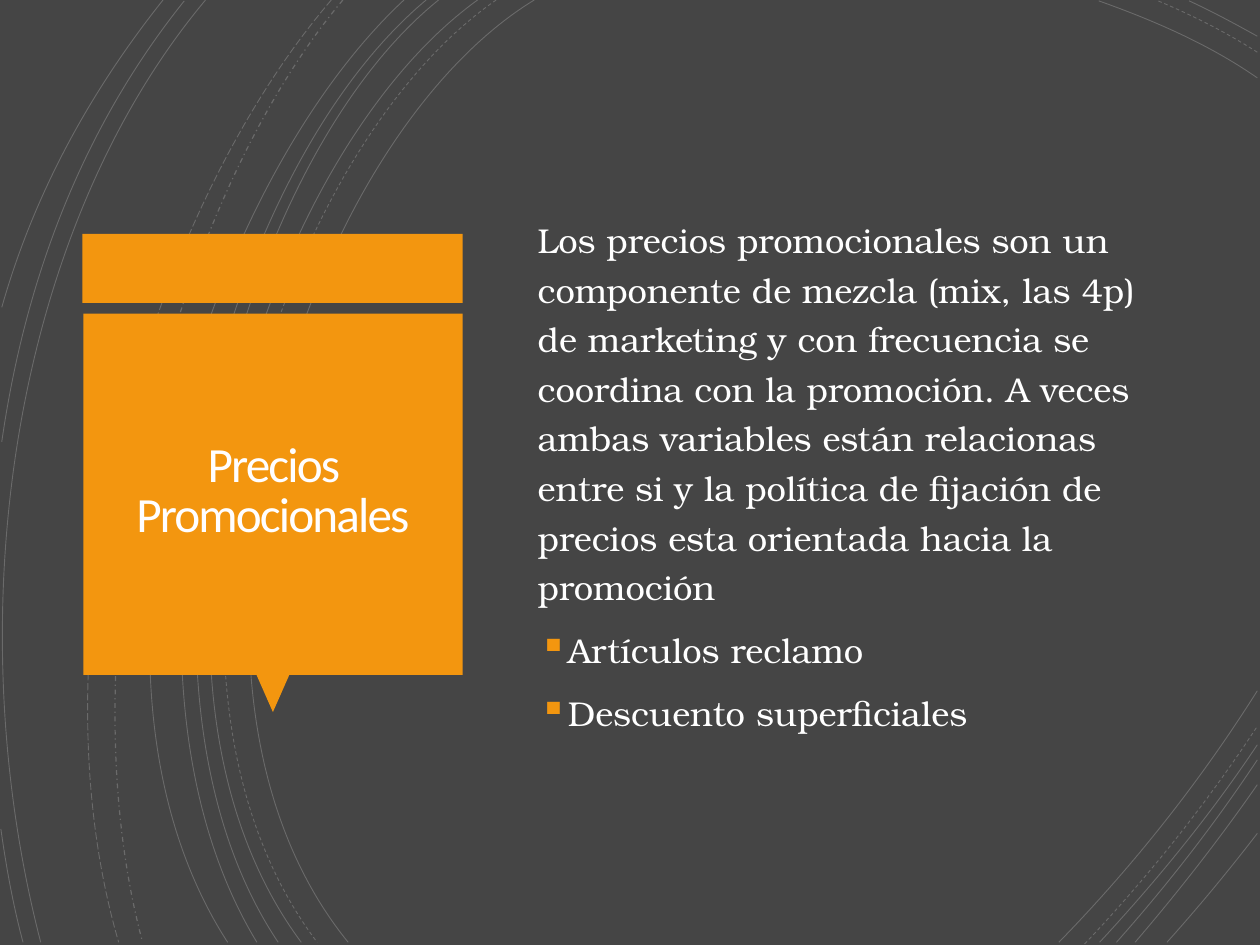
from dataclasses import dataclass

from lxml.etree import SubElement
from pptx import Presentation
from pptx.dml.color import RGBColor
from pptx.enum.dml import MSO_LINE as Dash
from pptx.enum.shapes import MSO_SHAPE as Preset
from pptx.enum.text import MSO_ANCHOR as Anchor, PP_ALIGN as Align
from pptx.oxml.ns import qn
from pptx.util import Cm, Pt


@dataclass(frozen=True)
class Theme:
    background: str = "454545"
    accent: str = "F3960F"
    title_color: str = "FFFEFF"
    white: str = "FFFFFF"
    title_font: str = "Calibri"
    body_font: str = "TeX Gyre Bonum"
    title_size: float = 40
    body_size: float = 28
    arc_width: float = 0.75
    arc_opacity: int = 20


THEME = Theme()

# All measures below are inches; length() turns them into Cm.
SLIDE_SIZE = (14.22, 10.67)
TITLE = "Precios Promocionales"
INTRO = (
    "Los precios promocionales son un componente de mezcla (mix, las 4p) de "
    "marketing y con frecuencia se coordina con la promoción. A veces ambas "
    "variables están relacionas entre si y la política de fijación de precios "
    "esta orientada hacia la promoción"
)
BULLETS = ["Artículos reclamo", "Descuento superficiales"]

TITLE_BOX = (1.04, 3.65, 4.08, 3.82)
BODY_BOX = (5.97, 1.25, 7.33, 8.16)
BANNER = (0.93, 2.64, 4.29, 0.78)
CARD = (0.94, 3.54, 4.28, 4.08)
POINTER_SIZE = (0.37, 0.42)

# Each arc: start, two control points, end.
ARCS = {
    Dash.SOLID: [
        [(6.03, 0), (3.36, 1.63), (1.52, 7.68), (3.93, 10.64)],
        [(5.39, 0), (2.88, 1.81), (1.17, 7.64), (3.4, 10.64)],
        [(4.95, 0), (2.6, 1.89), (1.17, 7.7), (3.14, 10.64)],
        [(4.81, 0), (2.46, 1.96), (1.04, 7.58), (2.9, 10.64)],
        [(4.56, 0), (2.32, 2.08), (0.56, 7.53), (2.57, 10.64)],
        [(2.32, 0), (0.12, 2.63), (-0.49, 6.97), (0.46, 10.64)],
        [(2.08, 0.01), (0.99, 1.37), (0.3, 3.04), (0.02, 4.99)],
        [(1.84, 0), (1.06, 0.98), (0.4, 2.13), (0.02, 3.47)],
        [(0.01, 9.36), (0.07, 9.79), (0.15, 10.23), (0.26, 10.64)],
        [(14.19, 0.88), (13.63, 0.49), (12.99, 0.22), (12.4, 0.01)],
        [(14.19, 0.41), (13.94, 0.27), (13.68, 0.13), (13.42, 0.01)],
        [(11.95, 10.64), (12.76, 9.81), (13.53, 8.85), (14.19, 7.8)],
        [(12.41, 10.64), (13.04, 9.96), (13.65, 9.22), (14.19, 8.41)],
        [(12.6, 10.64), (13.16, 10.01), (13.7, 9.32), (14.19, 8.58)],
        [(12.81, 10.64), (13.29, 10.08), (13.76, 9.48), (14.19, 8.86)],
        [(13.17, 10.64), (13.52, 10.25), (13.86, 9.84), (14.19, 9.41)],
    ],
    Dash.DASH: [
        [(5.6, 0), (3.04, 1.77), (1.31, 7.64), (3.58, 10.64)],
        [(14.19, 0.59), (13.83, 0.36), (13.45, 0.17), (13.07, 0.01)],
        [(12.24, 10.66), (12.94, 9.92), (13.6, 9.1), (14.19, 8.2)],
    ],
    Dash.DASH_DOT: [[(3.87, 0), (1.88, 2.37), (0.7, 7.24), (1.61, 10.64)]],
    Dash.LONG_DASH: [[(3.74, 0), (1.68, 2.4), (0.31, 7.1), (1.34, 10.64)]],
}


def length(inches):
    return Cm(inches * 2.54)


def rgb(color):
    return RGBColor.from_string(color)


def add_arc(page, points, dash):
    """Draw one cubic curve as an open, faint outline."""
    start, *rest = [(length(x), length(y)) for x, y in points]
    builder = page.shapes.build_freeform(*start)
    builder.add_line_segments(rest, close=False)
    arc = builder.convert_to_shape()
    arc.shadow.inherit = False
    arc.fill.background()
    arc.line.color.rgb = rgb(THEME.white)
    arc.line.width = Pt(1 if dash == Dash.DASH_DOT else THEME.arc_width)
    arc.line.dash_style = dash

    outline = next(arc.element.iter(qn("a:path")))
    segments = outline.findall(qn("a:lnTo"))
    curve = SubElement(outline, qn("a:cubicBezTo"))
    for segment in segments:
        curve.append(segment[0])
        outline.remove(segment)
    color = next(arc.element.iter(qn("a:srgbClr")))
    SubElement(color, qn("a:alpha"), val=str(THEME.arc_opacity * 1000))


def add_block(page, preset, place, rotation=0):
    block = page.shapes.add_shape(preset, *map(length, place))
    block.shadow.inherit = False
    block.fill.solid()
    block.fill.fore_color.rgb = rgb(THEME.accent)
    block.line.fill.background()
    block.rotation = rotation


def add_frame(page, place, inset=None):
    """Add a wrapping, vertically centred text box and return its text frame."""
    frame = page.shapes.add_textbox(*map(length, place)).text_frame
    frame.word_wrap = True
    frame.vertical_anchor = Anchor.MIDDLE
    if inset is not None:
        frame.margin_left = frame.margin_right = length(inset)
        frame.margin_top = frame.margin_bottom = length(inset)
    return frame


def write(para, text, *, font, size, color, line_spacing, align=Align.LEFT,
          before=0, tracking=0, bullet=None):
    para.alignment = align
    para.line_spacing = line_spacing
    para.space_before = Pt(before)
    span = para.add_run()
    span.text = text
    span.font.name = font
    span.font.size = Pt(size)
    span.font.color.rgb = rgb(color)
    if tracking:
        span.font._element.set("spc", str(int(tracking * 100)))
    if bullet:
        props = para._p.get_or_add_pPr()
        props.set("marL", str(length(0.27)))
        props.set("indent", str(length(-0.25)))
        bullet_color = SubElement(props, qn("a:buClr"))
        SubElement(bullet_color, qn("a:srgbClr"), val=THEME.accent)
        SubElement(props, qn("a:buSzPct"), val="110000")
        SubElement(props, qn("a:buChar"), char=bullet)


def main():
    deck = Presentation()
    deck.slide_width, deck.slide_height = map(length, SLIDE_SIZE)
    page = deck.slides.add_slide(deck.slide_layouts[6])
    page.background.fill.solid()
    page.background.fill.fore_color.rgb = rgb(THEME.background)

    for dash, arcs in ARCS.items():
        for points in arcs:
            add_arc(page, points, dash)

    left, top, width, height = CARD
    pointer_left = left + (width - POINTER_SIZE[0]) / 2
    add_block(page, Preset.RECTANGLE, BANNER)
    add_block(page, Preset.ISOSCELES_TRIANGLE,
              (pointer_left, top + height, *POINTER_SIZE), rotation=180)
    add_block(page, Preset.RECTANGLE, CARD)

    title = add_frame(page, TITLE_BOX, inset=0.25)
    write(title.paragraphs[0], TITLE, font=THEME.title_font,
          size=THEME.title_size, color=THEME.title_color,
          line_spacing=0.85, align=Align.CENTER, tracking=-1.5)

    body = add_frame(page, BODY_BOX)
    body_format = dict(font=THEME.body_font, size=THEME.body_size,
                       color=THEME.white, line_spacing=1.2, before=10.7)
    write(body.paragraphs[0], INTRO, **body_format)
    for item in BULLETS:
        write(body.add_paragraph(), item, bullet="▪", **body_format)

    deck.save("out.pptx")


if __name__ == "__main__":
    main()
